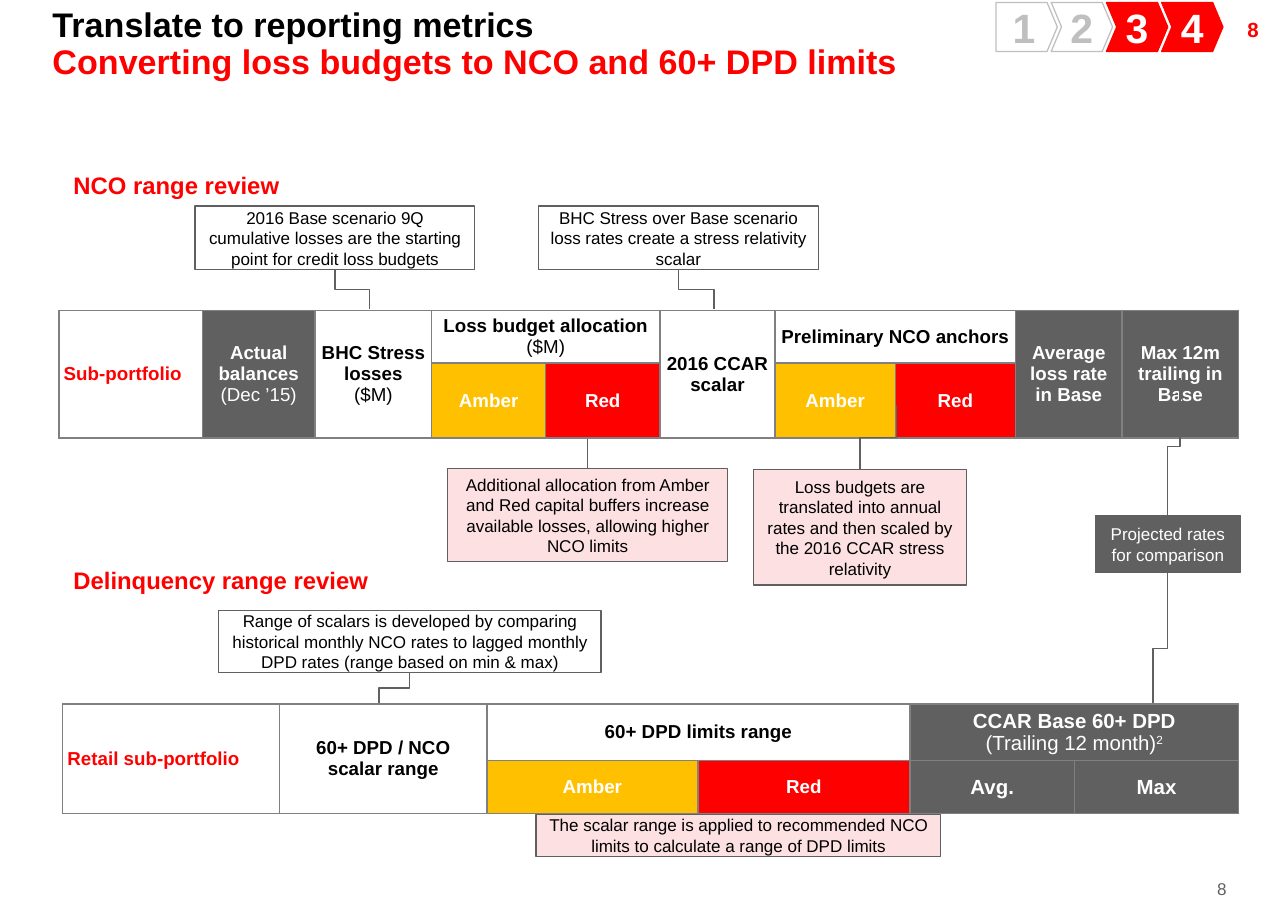
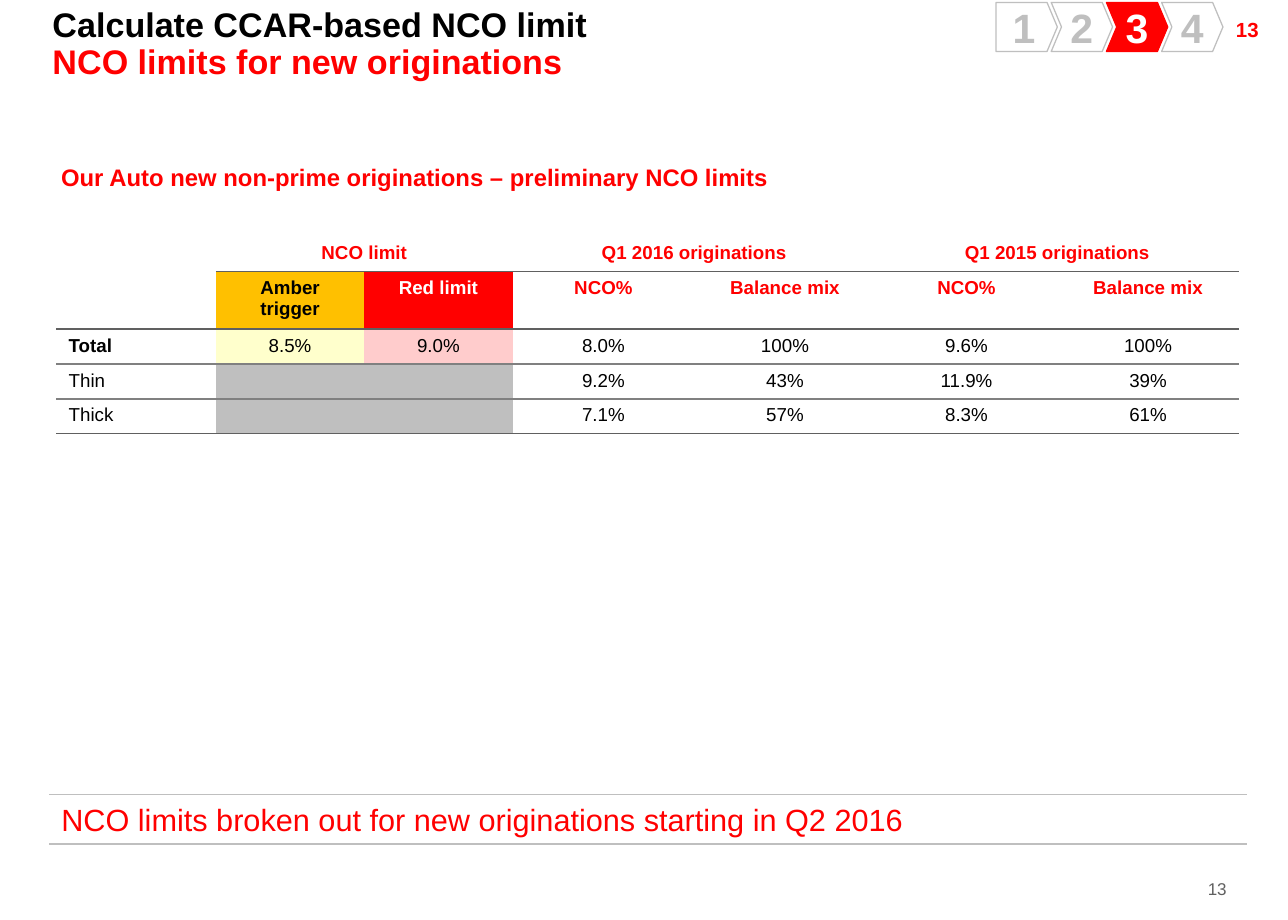
from dataclasses import dataclass

import lxml.etree
import pptx
import pptx.dml.color
import pptx.enum.shapes
import pptx.enum.text
import pptx.oxml.ns
import pptx.util

Inches = pptx.util.Inches
Pt = pptx.util.Pt
qn = pptx.oxml.ns.qn
ALIGN = pptx.enum.text.PP_ALIGN
ANCHOR = pptx.enum.text.MSO_ANCHOR
SHAPE = pptx.enum.shapes.MSO_SHAPE
NO_STYLE = "{2D5ABB26-0587-4C30-8999-92F81FD0307C}"


@dataclass(frozen=True)
class Theme:
    font: str = "Arial"
    red: str = "FF0000"
    amber: str = "FFC000"
    dark: str = "606060"
    rule: str = "808080"
    pale: str = "BFBFBF"
    pink: str = "FCE0E2"
    light_amber: str = "FFFFCC"
    light_red: str = "FFCCCC"
    white: str = "FFFFFF"
    black: str = "000000"
    title: int = 20
    step: int = 24
    takeaway: int = 18
    heading: int = 14
    strong: int = 12
    table: int = 11
    small: int = 10
    tight: float = 0.9
    thin: float = 0.75


T = Theme()


@dataclass
class Box:
    x: float
    y: float
    w: float
    h: float

    def at(self, dx, dy, w, h):
        return Box(self.x + dx, self.y + dy, w, h)

    def inches(self):
        return [Inches(v) for v in (self.x, self.y, self.w, self.h)]


@dataclass
class Line:
    text: str
    color: str = T.black
    size: int = T.table
    bold: bool = True
    align: int = ALIGN.CENTER
    spacing: float = 1.0
    tail: str = ""
    sup: str = ""


@dataclass
class Cell:
    lines: list
    fill: str = ""
    rows: int = 1
    cols: int = 1


def rgb(color):
    return pptx.dml.color.RGBColor.from_string(color)


def write(tf, lines, insets=(0.1, 0.05), anchor=ANCHOR.TOP):
    tf.word_wrap = True
    tf.vertical_anchor = anchor
    tf.margin_left = tf.margin_right = Inches(insets[0])
    tf.margin_top = tf.margin_bottom = Inches(insets[1])
    add_lines(tf, lines)


def add_lines(tf, lines):
    for i, line in enumerate(lines):
        p = tf.add_paragraph() if i else tf.paragraphs[0]
        p.alignment = line.align
        p.line_spacing = line.spacing
        p.font.name = T.font
        p.font.size = Pt(line.size)
        p.font.color.rgb = rgb(line.color)
        p.font.bold = line.bold
        if line.text:
            p.add_run().text = line.text
        else:
            lxml.etree.SubElement(p._p, qn("a:endParaRPr"), sz=str(line.size * 100))
        if line.tail:
            r = p.add_run()
            r.text = line.tail
            r.font.bold = False
        if line.sup:
            r = p.add_run()
            r.text = line.sup
            r.font._element.set("baseline", "30000")


def add_text(sl, box, lines, **kw):
    write(sl.shapes.add_textbox(*box.inches()).text_frame, lines, **kw)


def add_box(sl, kind, box, fill, outline, line, inset):
    sp = sl.shapes.add_shape(kind, *box.inches())
    sp.shadow.inherit = False
    sp.fill.solid()
    sp.fill.fore_color.rgb = rgb(fill)
    sp.line.color.rgb = rgb(outline)
    sp.line.width = Pt(T.thin)
    write(sp.text_frame, [line], (inset, inset), ANCHOR.MIDDLE)
    return sp


def add_link(sl, start, end):
    (x1, y1), (x2, y2) = start, end
    drop, shift = y2 - y1, abs(x2 - x1)
    left, top = (x1 + x2 - drop) / 2, (y1 + y2 - shift) / 2
    c = sl.shapes.add_connector(
        pptx.enum.shapes.MSO_CONNECTOR.ELBOW,
        Inches(left), Inches(top), Inches(left + drop), Inches(top + shift))
    c.line.color.rgb = rgb(T.dark)
    c.line.width = Pt(T.thin)
    spPr = c._element.spPr
    xfrm = spPr.find(qn("a:xfrm"))
    if x2 > x1:
        xfrm.set("rot", "16200000")
        xfrm.set("flipH", "1")
    else:
        xfrm.set("rot", "5400000")
    lxml.etree.SubElement(spPr, qn("a:effectLst"))


def add_callout(sl, box, text, fill=T.white, color=T.black, targets=()):
    add_box(sl, SHAPE.FLOWCHART_PROCESS, box, fill, T.dark,
            Line(text, color, T.small, False), 0.08)
    mid = box.x + box.w / 2
    for x, y in targets:
        if y < box.y:
            add_link(sl, (x, y), (mid, box.y))
        else:
            add_link(sl, (mid, box.y + box.h), (x, y))


def set_border(cell, sides, color, width):
    tcPr = cell._tc.get_or_add_tcPr()
    for side in sides:
        ln = lxml.etree.SubElement(tcPr, qn("a:ln" + side), w=str(Pt(width)))
        fill = lxml.etree.SubElement(ln, qn("a:solidFill"))
        lxml.etree.SubElement(fill, qn("a:srgbClr"), val=color)


def add_table(sl, box, cols, rows, cells, borders, insets=(0.1, 0.05), anchor=ANCHOR.TOP):
    tbl = sl.shapes.add_table(len(rows), len(cols), *box.inches()).table
    tbl.first_row = tbl.horz_banding = False
    tbl._tbl.tblPr.find(qn("a:tableStyleId")).text = NO_STYLE
    for i, w in enumerate(cols):
        tbl.columns[i].width = Inches(w)
    for i, h in enumerate(rows):
        tbl.rows[i].height = Inches(h)
        for j in range(len(cols)):
            set_border(tbl.cell(i, j), *borders[i])
    for (i, j), c in cells.items():
        cell = tbl.cell(i, j)
        if c.rows * c.cols > 1:
            cell.merge(tbl.cell(i + c.rows - 1, j + c.cols - 1))
        cell.margin_left = cell.margin_right = Inches(insets[0])
        cell.margin_top = cell.margin_bottom = Inches(insets[1])
        cell.vertical_anchor = anchor
        if c.fill:
            cell.fill.solid()
            cell.fill.fore_color.rgb = rgb(c.fill)
        add_lines(cell.text_frame, c.lines)


def add_header_table(sl, box, cols, rows, cells):
    add_table(sl, box, cols, rows, cells, [("LRTB", T.rule, 1)] * len(rows),
              (0.04, 0.03), ANCHOR.MIDDLE)


def add_heading(sl, box, text):
    add_text(sl, box, [Line(text, T.red, T.heading, align=ALIGN.LEFT, spacing=T.tight)])


def add_tracker(sl, box, active):
    for n in range(1, 5):
        on = n in active
        sp = add_box(sl, SHAPE.PENTAGON if n == 1 else SHAPE.CHEVRON,
                     box.at((n - 1) * 0.45, 0, 0.5, box.h),
                     T.red if on else T.white, T.red if on else T.pale,
                     Line(str(n), T.white if on else T.pale, T.step), 0)
        sp.adjustments[0] = 0.21


def new_slide(prs, title, subtitle, number, active):
    sl = prs.slides.add_slide(prs.slide_layouts[6])
    add_text(sl, Box(9.5, 7.16, 0.5, 0.17),
             [Line(number, T.dark, T.small, False, ALIGN.RIGHT)],
             insets=(0, 0), anchor=ANCHOR.BOTTOM)
    add_text(sl, Box(9.36, 0.11, 1, 0.24),
             [Line(number, T.red, T.strong, align=ALIGN.RIGHT, spacing=T.tight)])
    add_text(sl, Box(0.33, 0.02, 9.76, 0.68),
             [Line(text, color, T.title, align=ALIGN.LEFT, spacing=T.tight)
              for text, color in ((title, T.black), (subtitle, T.red))])
    add_tracker(sl, Box(8.12, 0.02, 1.86, 0.4), active)
    return sl


def limit_pair(row, col):
    return {(row, col): Cell([Line("Amber", T.white)], T.amber),
            (row, col + 1): Cell([Line("Red", T.white)], T.red)}


def nco_review(sl, box):
    def point(dx, dy):
        return box.x + dx, box.y + dy

    add_heading(sl, box.at(0, 0, 4.84, 0.3), "NCO range review")
    add_callout(sl, box.at(3.15, 2.45, 2.28, 0.76),
                "Additional allocation from Amber and Red capital buffers increase "
                "available losses, allowing higher NCO limits", T.pink,
                targets=[point(3.96, 1.93)])
    cells = {
        (0, 0): Cell([Line("Sub-portfolio", T.red, align=ALIGN.LEFT)], rows=2),
        (0, 1): Cell([Line("Actual balances", T.white),
                      Line("(Dec ’15)", T.white, bold=False)], T.dark, 2),
        (0, 2): Cell([Line("BHC Stress losses"), Line("($M)", bold=False)], T.white, 2),
        (0, 3): Cell([Line("Loss budget allocation ", tail="($M)")], T.white, cols=2),
        (0, 5): Cell([Line("2016 CCAR scalar")], T.white, 2),
        (0, 6): Cell([Line("Preliminary NCO anchors")], T.white, cols=2),
        (0, 8): Cell([Line("Average loss rate in Base", T.white)], T.dark, 2),
        (0, 9): Cell([Line("Max 12m trailing in Base", T.white)], T.dark, 2),
        **limit_pair(1, 3), **limit_pair(1, 6)}
    add_header_table(sl, box.at(-0.02, 1.16, 9.62, 1.04),
                     [1.17, 0.92, 0.95, 0.93, 0.93, 0.94, 0.98, 0.98, 0.87, 0.95],
                     [0.43, 0.61], cells)
    add_callout(sl, box.at(1.09, 0.31, 2.28, 0.52),
                "2016 Base scenario 9Q cumulative losses are the starting point "
                "for credit loss budgets", targets=[point(2.51, 1.15)])
    add_callout(sl, box.at(3.89, 0.31, 2.28, 0.52),
                "BHC Stress over Base scenario loss rates create a stress relativity scalar",
                targets=[point(5.32, 1.15)])
    add_callout(sl, box.at(5.64, 2.46, 1.74, 0.94),
                "Loss budgets are translated into annual rates and then scaled by "
                "the 2016 CCAR stress relativity", T.pink, targets=[point(6.81, 1.93)])
    add_callout(sl, box.at(8.43, 2.83, 1.18, 0.47), "Projected rates for comparison",
                T.dark, T.white, [point(9.12, 1.71), point(8.9, 4.53)])


def delinquency_review(sl, box):
    add_heading(sl, box.at(0, 0, 4.84, 0.3), "Delinquency range review")
    add_callout(sl, box.at(1.28, 0.39, 3.12, 0.5),
                "Range of scalars is developed by comparing historical monthly NCO rates "
                "to lagged monthly DPD rates (range based on min & max)",
                targets=[(box.x + 2.59, box.y + 1.15)])
    add_callout(sl, box.at(3.87, 2.05, 3.3, 0.34),
                "The scalar range is applied to recommended NCO limits to calculate "
                "a range of DPD limits", T.pink)
    cells = {
        (0, 0): Cell([Line("Retail sub-portfolio", T.red, align=ALIGN.LEFT)], rows=2),
        (0, 1): Cell([Line("60+ DPD / NCO"), Line("scalar range")], T.white, 2),
        (0, 2): Cell([Line("60+ DPD limits range")], T.white, cols=2),
        (0, 4): Cell([Line("CCAR Base 60+ DPD", T.white, T.strong),
                      Line("(Trailing 12 month)", T.white, T.strong, False, sup="2")],
                     T.dark, cols=2),
        **limit_pair(1, 2),
        (1, 4): Cell([Line("Avg.", T.white, T.strong)], T.dark),
        (1, 5): Cell([Line("Max", T.white, T.strong)], T.dark)}
    add_header_table(sl, box.at(0.01, 1.15, 9.59, 0.89),
                     [1.77, 1.69, 1.72, 1.73, 1.34, 1.34], [0.46, 0.43], cells)


def origination_limits(sl, box):
    cells = {(0, 0): Cell([Line("")], rows=2),
             (1, 1): Cell([Line("Amber trigger")], T.amber),
             (1, 2): Cell([Line("Red limit", T.white)], T.red)}
    for j, text in enumerate(["NCO limit", "Q1 2016 originations", "Q1 2015 originations"]):
        cells[0, 1 + 2 * j] = Cell([Line(text, T.red)], cols=2)
    for j, text in enumerate(["NCO%", "Balance mix"] * 2):
        cells[1, 3 + j] = Cell([Line(text, T.red)])
    body = [["Total", "8.5%", "9.0%", "8.0%", "100%", "9.6%", "100%"],
            ["Thin", "", "", "9.2%", "43%", "11.9%", "39%"],
            ["Thick", "", "", "7.1%", "57%", "8.3%", "61%"]]
    fills = {(2, 1): T.light_amber, (2, 2): T.light_red}
    for i, row in enumerate(body, 2):
        for j, text in enumerate(row):
            line = Line(text, bold=text == "Total", align=ALIGN.CENTER if j else ALIGN.LEFT)
            cells[i, j] = Cell([line], fills.get((i, j), "" if text else T.pale))
    borders = [("B", color, 1) for color in (T.dark, T.dark, T.rule, T.rule, T.dark)]
    add_table(sl, box, [1.3] + [1.21] * 2 + [1.48] * 4,
              [0.28, 0.47] + [0.28] * 3, cells, borders)


def takeaway(sl, box, text):
    line = Line(text, T.red, T.takeaway, False, ALIGN.LEFT)
    add_table(sl, box, [box.w], [box.h], {(0, 0): Cell([line])},
              [("TB", T.pale, T.thin)], anchor=ANCHOR.BOTTOM)


def main():
    prs = pptx.Presentation()
    prs.slide_width, prs.slide_height = Inches(10.5), Inches(7.5)

    sl = new_slide(prs, "Translate to reporting metrics",
                   "Converting loss budgets to NCO and 60+ DPD limits", "8", (3, 4))
    nco_review(sl, Box(0.5, 1.37, 9.6, 3.4))
    delinquency_review(sl, Box(0.5, 4.59, 9.6, 2.39))

    sl = new_slide(prs, "Calculate CCAR-based NCO limit",
                   "NCO limits for new originations", "13", (3,))
    add_heading(sl, Box(0.4, 1.3, 6.26, 0.3),
                "Our Auto new non-prime originations – preliminary NCO limits")
    origination_limits(sl, Box(0.46, 1.93, 9.64, 1.59))
    takeaway(sl, Box(0.4, 6.48, 9.77, 0.4),
             "NCO limits broken out for new originations starting in Q2 2016")
    prs.save("out.pptx")


if __name__ == "__main__":
    main()
